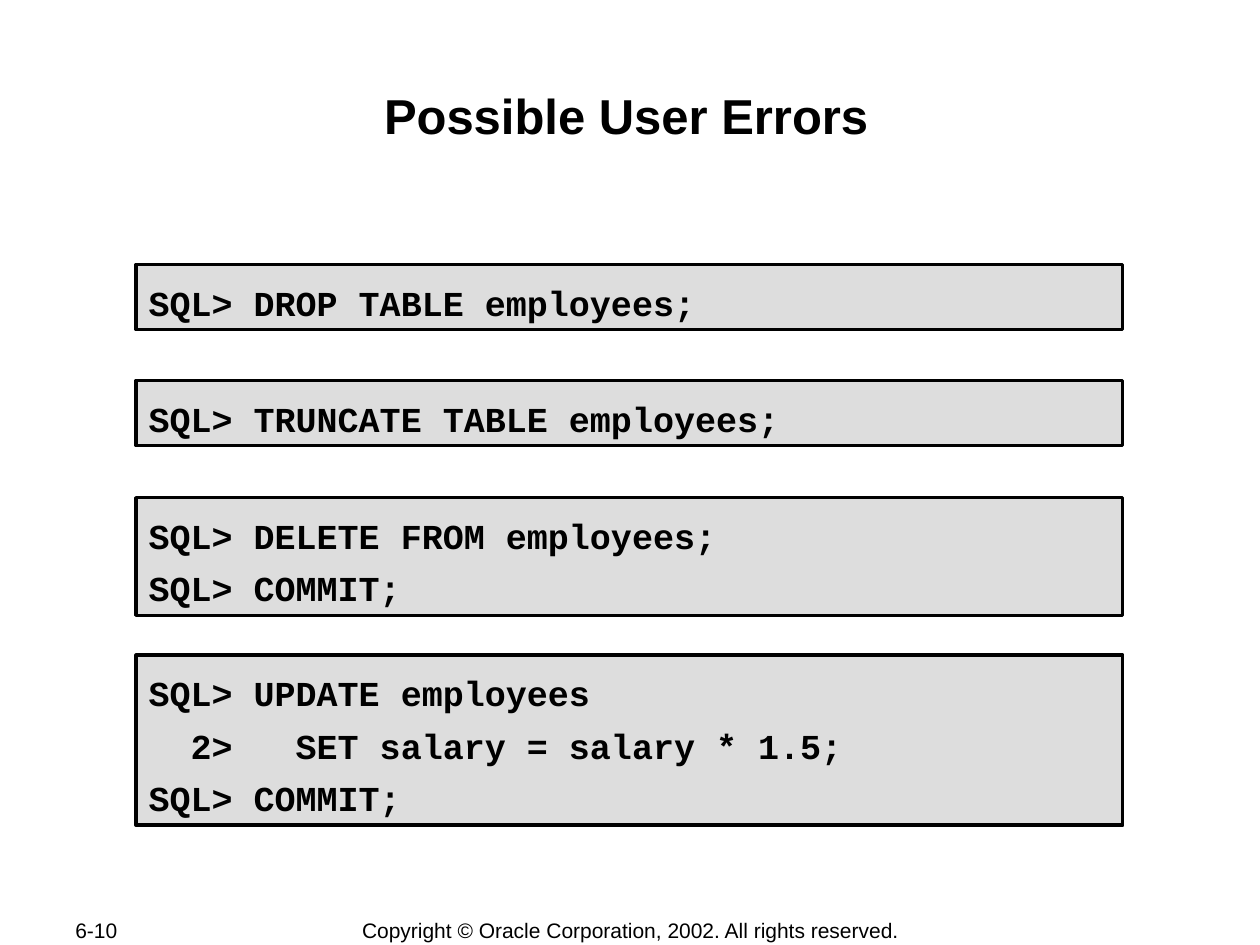
from pptx import Presentation
from pptx.dml.color import RGBColor
from pptx.enum.shapes import MSO_SHAPE
from pptx.enum.text import MSO_ANCHOR, MSO_AUTO_SIZE, PP_ALIGN
from pptx.util import Pt

TITLE = "Possible User Errors"
PAGE = "6-10"
COPYRIGHT = "Copyright © Oracle Corporation, 2002. All rights reserved."
STATEMENTS = [
    (151.2, ["SQL> DROP TABLE employees;"]),
    (217.4, ["SQL> TRUNCATE TABLE employees;"]),
    (284.4, ["SQL> DELETE FROM employees;", "SQL> COMMIT;"]),
    (374.4, ["SQL> UPDATE employees", "  2>   SET salary = salary * 1.5;", "SQL> COMMIT;"]),
]

BLACK = RGBColor(0, 0, 0)
THEME = {
    "panel": RGBColor(0xDD, 0xDD, 0xDD),
    "line": BLACK,
    "title": {"name": "Arial", "size": Pt(28), "bold": True},
    "code": {"name": "Courier New", "size": Pt(20), "bold": True},
    "footer": {"name": "Arial", "size": Pt(12), "bold": False},
}
PANEL_LEFT, PANEL_WIDTH = 77.8, 563.8
LINE_HEIGHT, PANEL_PADDING = 30, 7.2


def write(shape, lines, style, align, spacing=1.0, **frame_values):
    frame = shape.text_frame
    values = {
        "word_wrap": True,
        "auto_size": MSO_AUTO_SIZE.NONE,
        "vertical_anchor": MSO_ANCHOR.TOP,
        "margin_left": Pt(7.2),
        "margin_right": Pt(7.2),
        "margin_top": Pt(3.6),
        "margin_bottom": Pt(3.6),
    }
    for name, value in {**values, **frame_values}.items():
        setattr(frame, name, value)
    for index, line in enumerate(lines):
        paragraph = frame.add_paragraph() if index else frame.paragraphs[0]
        paragraph.alignment = align
        paragraph.line_spacing = spacing
        run = paragraph.add_run()
        run.text = line
        for name, value in THEME[style].items():
            setattr(run.font, name, value)
        run.font.color.rgb = BLACK


def add_label(slide, box, text, style, align, **frame_values):
    shape = slide.shapes.add_textbox(*map(Pt, box))
    write(shape, [text], style, align, **frame_values)


def add_panel(slide, top, lines):
    height = PANEL_PADDING + LINE_HEIGHT * len(lines)
    shape = slide.shapes.add_shape(
        MSO_SHAPE.RECTANGLE, Pt(PANEL_LEFT), Pt(top), Pt(PANEL_WIDTH), Pt(height)
    )
    shape.shadow.inherit = False
    shape.fill.solid()
    shape.fill.fore_color.rgb = THEME["panel"]
    shape.line.color.rgb = THEME["line"]
    shape.line.width = Pt(2)
    write(shape, lines, "code", PP_ALIGN.LEFT, 1.25,
          auto_size=MSO_AUTO_SIZE.SHAPE_TO_FIT_TEXT)


def main():
    presentation = Presentation()
    presentation.slide_width, presentation.slide_height = Pt(720), Pt(540)
    slide = presentation.slides.add_slide(presentation.slide_layouts[6])
    add_label(slide, (36, 524.2, 76.3, 14.4), PAGE, "footer", PP_ALIGN.LEFT,
              vertical_anchor=MSO_ANCHOR.MIDDLE)
    add_label(slide, (198.7, 524.2, 323.3, 15.1), COPYRIGHT, "footer", PP_ALIGN.CENTER,
              vertical_anchor=MSO_ANCHOR.MIDDLE, word_wrap=False)
    add_label(slide, (69.8, 41.8, 576, 69.1), TITLE, "title", PP_ALIGN.CENTER,
              margin_top=Pt(7))
    for top, lines in STATEMENTS:
        add_panel(slide, top, lines)
    presentation.save("out.pptx")


if __name__ == "__main__":
    main()
